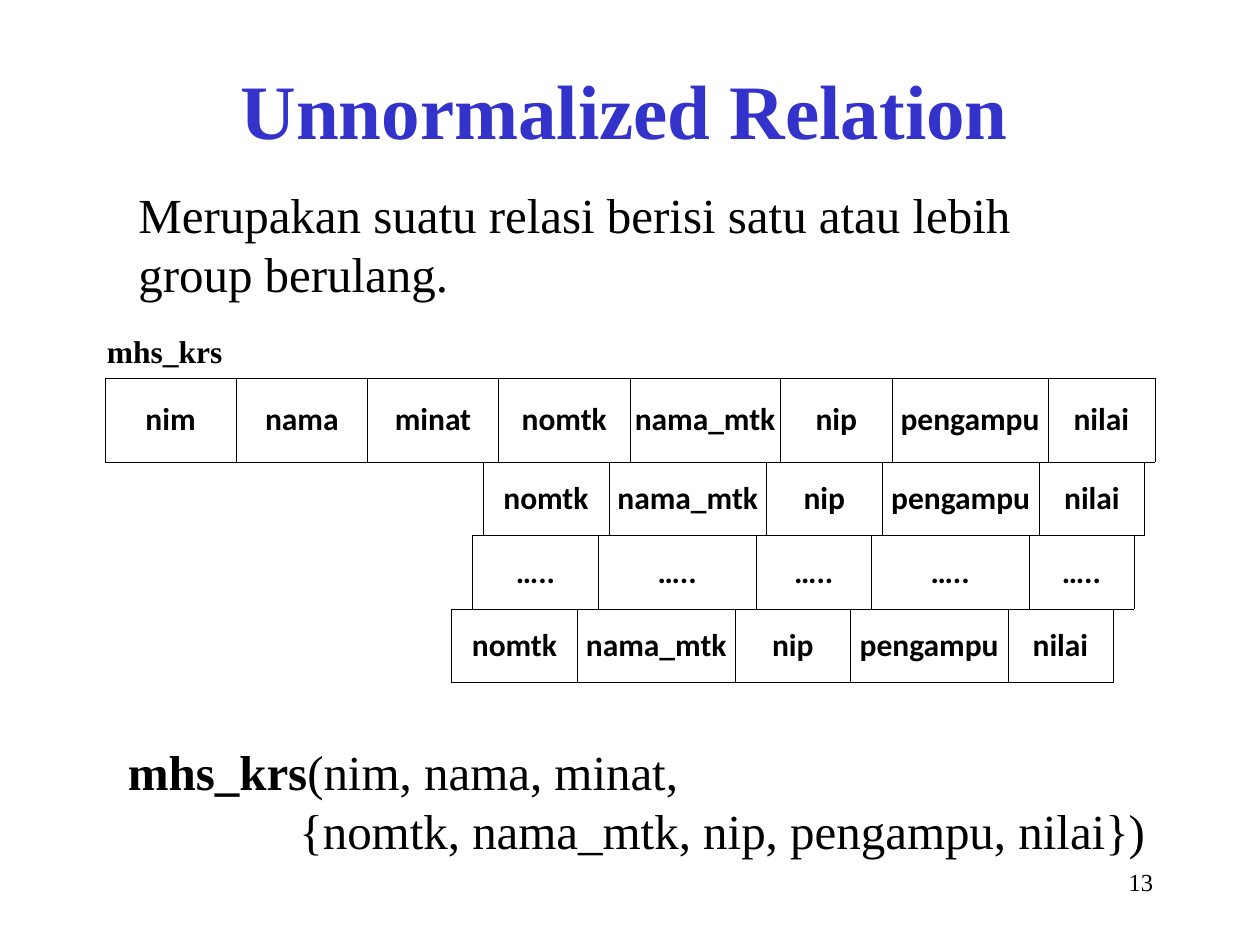
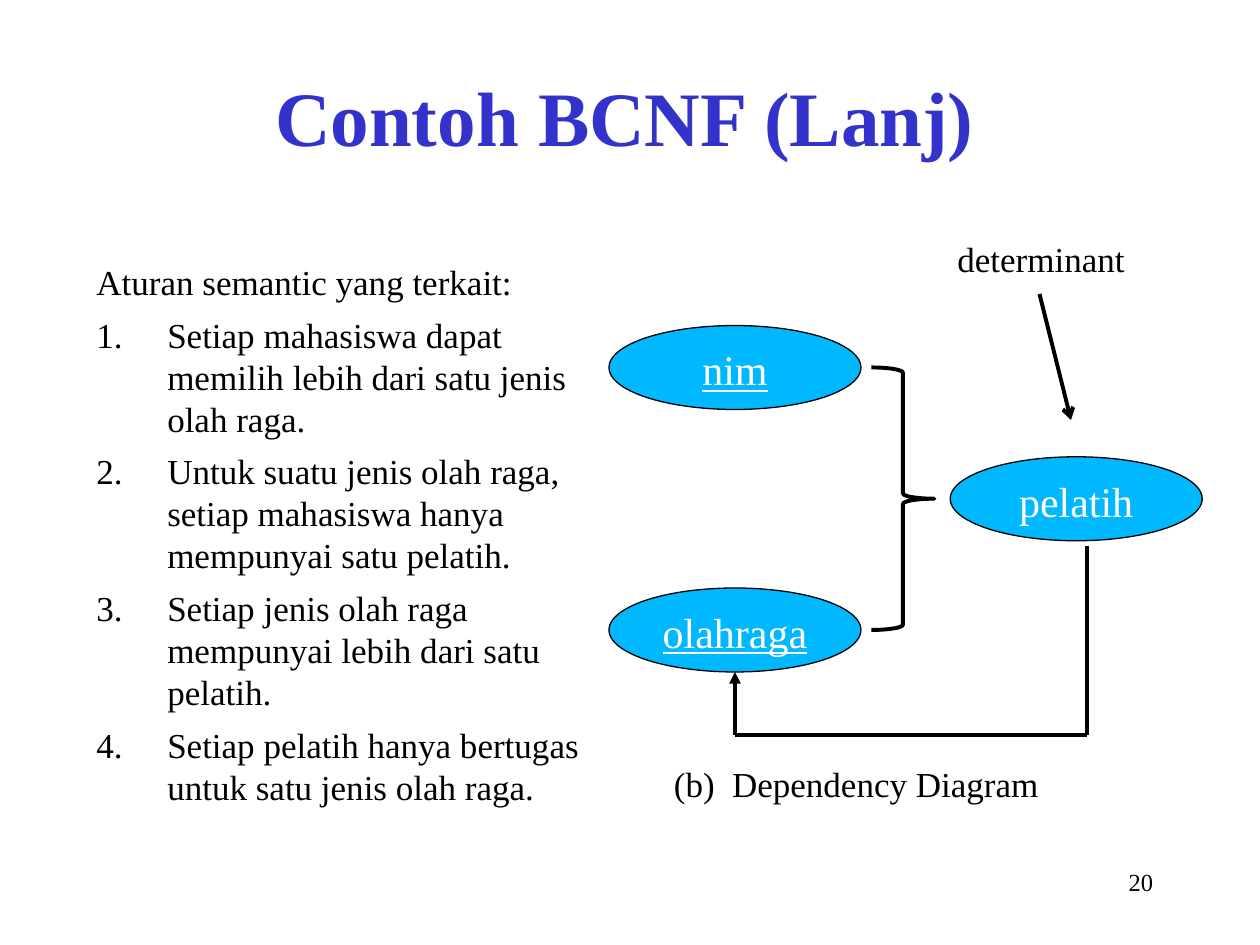
from lxml.etree import SubElement
from pptx import Presentation
from pptx.dml.color import RGBColor
from pptx.enum.shapes import MSO_CONNECTOR, MSO_SHAPE
from pptx.enum.text import MSO_ANCHOR as Anchor, PP_ALIGN as Align
from pptx.oxml.ns import qn
from pptx.util import Pt

SERIF, TABLE_FONT = "Times New Roman", "Calibri"
BLACK, WHITE, TITLE_BLUE, OVAL_BLUE = "000000", "FFFFFF", "3333CC", "00B8FF"

# Unnormalized relation
DEFINITION = "Merupakan suatu relasi berisi satu atau lebih group berulang."
RELATION = "mhs_krs"
KEY_FIELDS = ["nim", "nama", "minat"]
GROUP_FIELDS = ["nomtk", "nama_mtk", "nip", "pengampu", "nilai"]
HEADER_WIDTHS = [75, 75, 75, 75, 86, 64, 89, 61]
GROUP_WIDTHS = [72, 90, 66, 90, 60]
HEADER_TOP, HEADER_HEIGHT, GROUP_HEIGHT = 216, 48, 42
REPEATED_GROUPS = [  # left edge, fields
    (276, GROUP_FIELDS),
    (270, ["….."] * len(GROUP_FIELDS)),
    (258, GROUP_FIELDS),
]

# BCNF example
RULES_HEADING = "Aturan semantic yang terkait:"
RULES = [
    "Setiap mahasiswa dapat memilih lebih dari satu jenis olah raga.",
    "Untuk suatu jenis olah raga, setiap mahasiswa hanya mempunyai satu pelatih.",
    "Setiap jenis olah raga mempunyai lebih dari satu pelatih.",
    "Setiap pelatih hanya bertugas untuk satu jenis olah raga.",
]
RULE_INDENT = 40.5
OVAL_SIZE = (144, 48)
ATTRIBUTES = [  # name, left, top, part of the key
    ("nim", 348, 186, True),
    ("pelatih", 543, 261, False),
    ("olahraga", 348, 336, True),
]
DEPENDENCIES = [  # start, end, arrowhead
    ((621, 312), (621, 420), None),
    ((621, 420), (420, 420), None),
    ((420, 420), (420, 384), "triangle"),
    ((594, 168), (612, 240), "arrow"),
]


def color(hex_code):
    return RGBColor.from_string(hex_code)


def style_runs(paragraph, size, ink=BLACK, bold=False, underline=False, font=SERIF):
    for run in paragraph.runs:
        run.font.name, run.font.size = font, Pt(size)
        run.font.color.rgb = color(ink)
        run.font.bold, run.font.underline = bold, underline


def add_text(slide, box, lines, size, align=Align.LEFT, anchor=Anchor.TOP, **style):
    """Add a wrapped text box with one paragraph per line; return its paragraphs."""
    frame = slide.shapes.add_textbox(*map(Pt, box)).text_frame
    frame.word_wrap, frame.vertical_anchor = True, anchor
    frame.text = "\n".join(lines)
    for paragraph in frame.paragraphs:
        paragraph.alignment = align
        style_runs(paragraph, size, **style)
    return frame.paragraphs


def indent(paragraph, left, hanging=0):
    properties = paragraph._p.get_or_add_pPr()
    properties.set("marL", str(Pt(left)))
    properties.set("indent", str(-Pt(hanging)))
    return properties


def number(paragraph):
    properties = indent(paragraph, RULE_INDENT, RULE_INDENT)
    SubElement(properties, qn("a:buFont"), typeface=SERIF)
    SubElement(properties, qn("a:buAutoNum"), type="arabicPeriod")
    paragraph.space_before = Pt(6)


def add_border(cell):
    properties = cell._tc.get_or_add_tcPr()
    for side in ("lnL", "lnR", "lnT", "lnB"):
        line = SubElement(properties, qn(f"a:{side}"), w=str(Pt(0.25)))
        SubElement(SubElement(line, qn("a:solidFill")), qn("a:srgbClr"), val=BLACK)


def add_field_row(slide, left, top, height, fields, widths):
    """Draw one record as a bordered table row."""
    row = slide.shapes.add_table(
        1, len(fields), Pt(left), Pt(top), Pt(sum(widths)), Pt(height)).table
    row.first_row = row.horz_banding = False
    for column, (field, width) in enumerate(zip(fields, widths)):
        row.columns[column].width = Pt(width)
        cell = row.cell(0, column)
        add_border(cell)
        cell.fill.background()
        cell.margin_left = cell.margin_right = Pt(0.75)
        cell.vertical_anchor = Anchor.MIDDLE
        cell.text_frame.text = field
        paragraph = cell.text_frame.paragraphs[0]
        paragraph.alignment = Align.CENTER
        style_runs(paragraph, 18, bold=True, font=TABLE_FONT)


def add_slide(deck, title, title_height, page):
    slide = deck.slides.add_slide(deck.slide_layouts[6])
    add_text(slide, (36, 30, 642, title_height), [title], 44, Align.CENTER,
             Anchor.BOTTOM, ink=TITLE_BLUE, bold=True)
    add_text(slide, (516, 492, 150, 36), [str(page)], 14, Align.RIGHT)
    return slide


def add_oval(slide, attribute, left, top, is_key):
    oval = slide.shapes.add_shape(
        MSO_SHAPE.OVAL, Pt(left), Pt(top), *map(Pt, OVAL_SIZE))
    oval.shadow.inherit = False
    oval.fill.solid()
    oval.fill.fore_color.rgb = color(OVAL_BLUE)
    oval.line.color.rgb, oval.line.width = color(BLACK), Pt(0.75)
    frame = oval.text_frame
    frame.vertical_anchor = Anchor.TOP
    frame.text = attribute
    frame.paragraphs[0].alignment = Align.CENTER
    style_runs(frame.paragraphs[0], 24, ink=WHITE, underline=is_key)


def add_line(slide, start, end, arrowhead):
    line = slide.shapes.add_connector(
        MSO_CONNECTOR.STRAIGHT, *map(Pt, start + end))
    line.line.color.rgb, line.line.width = color(BLACK), Pt(2.25)
    if arrowhead:
        SubElement(line.line._get_or_add_ln(), qn("a:tailEnd"), type=arrowhead)
    SubElement(line._element.spPr, qn("a:effectLst"))


def build_unnormalized(deck):
    slide = add_slide(deck, "Unnormalized Relation", 62, 13)
    add_text(slide, (72, 102, 576, 75), [DEFINITION], 28)
    add_text(slide, (54, 186, 96, 29), [RELATION], 18, bold=True)

    add_field_row(slide, 60, HEADER_TOP, HEADER_HEIGHT,
                  KEY_FIELDS + GROUP_FIELDS, HEADER_WIDTHS)
    for index, (left, fields) in enumerate(REPEATED_GROUPS):
        top = HEADER_TOP + HEADER_HEIGHT + index * GROUP_HEIGHT
        add_field_row(slide, left, top, GROUP_HEIGHT, fields, GROUP_WIDTHS)

    key_part = f"({', '.join(KEY_FIELDS)},"
    group_part = f"{{{', '.join(GROUP_FIELDS)}}})"
    schema, group = add_text(slide, (66, 420, 612, 75), [RELATION, group_part], 28)
    schema.add_run().text = key_part
    style_runs(schema, 28)
    schema.runs[0].font.bold = True
    indent(group, 98)


def build_bcnf(deck):
    slide = add_slide(deck, "Contoh BCNF (Lanj)", 66, 20)
    _, *rules = add_text(slide, (48, 145.5, 300, 320), [RULES_HEADING, *RULES], 20)
    for rule in rules:
        number(rule)

    for attribute in ATTRIBUTES:
        add_oval(slide, *attribute)
    brace = slide.shapes.add_shape(
        MSO_SHAPE.RIGHT_BRACE, Pt(498), Pt(210), Pt(36), Pt(150))
    brace.shadow.inherit = False
    brace.fill.background()
    brace.line.color.rgb, brace.line.width = color(BLACK), Pt(2.25)
    for dependency in DEPENDENCIES:
        add_line(slide, *dependency)

    add_text(slide, (540, 132, 120, 32), ["determinant"], 20)
    caption, = add_text(slide, (378, 432, 258, 32), ["(b)\tDependency Diagram"], 20)
    indent(caption, 33.25, 33.25)


def main():
    deck = Presentation()
    deck.slide_width, deck.slide_height = Pt(720), Pt(540)
    build_unnormalized(deck)
    build_bcnf(deck)
    deck.save("out.pptx")


if __name__ == "__main__":
    main()
